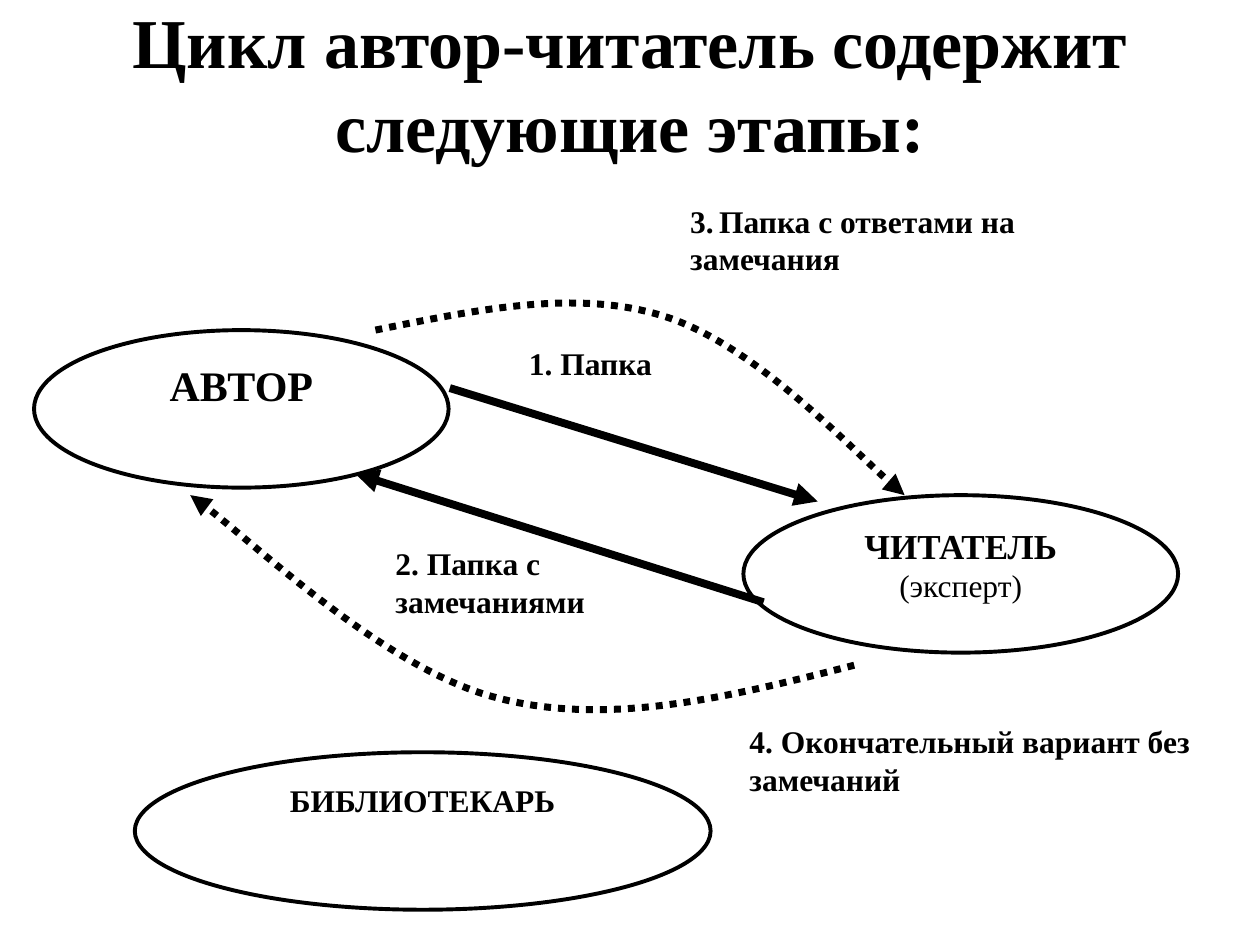
import lxml.etree
import pptx
import pptx.dml.color
import pptx.enum.dml
import pptx.enum.shapes
import pptx.enum.text
import pptx.oxml
import pptx.oxml.ns
import pptx.util

Inches = pptx.util.Inches
BLACK = pptx.dml.color.RGBColor(0, 0, 0)
WHITE = pptx.dml.color.RGBColor(255, 255, 255)
FONT = "Times New Roman"
CENTER = pptx.enum.text.PP_ALIGN.CENTER
LEFT = pptx.enum.text.PP_ALIGN.LEFT


def add_run(paragraph, text, size=18, bold=True):
    run = paragraph.add_run()
    run.text = text
    run.font.name = FONT
    run.font.size = pptx.util.Pt(size)
    run.font.bold = bold
    run.font.color.rgb = BLACK


def write_paragraph(paragraph, *runs, alignment=LEFT):
    paragraph.alignment = alignment
    for text, run_format in runs:
        add_run(paragraph, text, **run_format)


def add_title(slide, text):
    title = slide.shapes.title
    title.left, title.top = Inches(0.5), Inches(0)
    title.width, title.height = Inches(9), Inches(1.31)
    frame = title.text_frame
    frame.auto_size = pptx.enum.text.MSO_AUTO_SIZE.NONE
    frame.vertical_anchor = pptx.enum.text.MSO_ANCHOR.MIDDLE
    write_paragraph(frame.paragraphs[0], (text, {"size": 40}), alignment=CENTER)


def add_role(slide, left, top, width, name, size, note=None):
    ellipse = slide.shapes.add_shape(
        pptx.enum.shapes.MSO_SHAPE.OVAL,
        Inches(left), Inches(top), Inches(width), Inches(1.25))
    ellipse.shadow.inherit = False
    ellipse.fill.solid()
    ellipse.fill.fore_color.rgb = WHITE
    ellipse.line.color.rgb = BLACK
    ellipse.line.width = pptx.util.Pt(2.25)
    frame = ellipse.text_frame
    frame.vertical_anchor = pptx.enum.text.MSO_ANCHOR.TOP
    write_paragraph(frame.paragraphs[0], (name, {"size": size}), alignment=CENTER)
    if note:
        write_paragraph(frame.add_paragraph(), (note, {"bold": False}),
                        alignment=CENTER)


def add_label(slide, left, top, width, height, *runs):
    box = slide.shapes.add_textbox(
        Inches(left), Inches(top), Inches(width), Inches(height))
    box.text_frame.word_wrap = True
    write_paragraph(box.text_frame.paragraphs[0], *runs)


def format_arrow(line, width, dash=None):
    line.color.rgb = BLACK
    line.width = pptx.util.Pt(width)
    if dash is not None:
        line.dash_style = dash
    outline = line.fill._xPr
    lxml.etree.SubElement(outline, pptx.oxml.ns.qn("a:tailEnd"), type="triangle")


def add_straight_arrow(slide, start, end):
    arrow = slide.shapes.add_connector(
        pptx.enum.shapes.MSO_CONNECTOR.STRAIGHT, *map(Inches, start + end))
    format_arrow(arrow.line, 4.5)
    lxml.etree.SubElement(arrow._element.spPr, pptx.oxml.ns.qn("a:effectLst"))


def add_curved_arrow(slide, start, *points):
    builder = slide.shapes.build_freeform(*map(Inches, start))
    builder.add_line_segments([tuple(map(Inches, point)) for point in points],
                              close=False)
    arrow = builder.convert_to_shape()
    arrow.shadow.inherit = False
    arrow.fill.background()
    format_arrow(arrow.line, 4, pptx.enum.dml.MSO_LINE.ROUND_DOT)
    segments = arrow._element.xpath(".//a:lnTo")
    for first in range(0, len(segments), 3):
        curve = pptx.oxml.parse_xml(
            f"<a:cubicBezTo {pptx.oxml.ns.nsdecls('a')}/>")
        segments[first].addprevious(curve)
        for segment in segments[first:first + 3]:
            curve.append(segment[0])
            segment.getparent().remove(segment)


def main():
    presentation = pptx.Presentation()
    presentation.slide_width = Inches(10)
    presentation.slide_height = Inches(7.5)
    slide = presentation.slides.add_slide(presentation.slide_layouts[5])

    add_title(slide, "Цикл автор-читатель содержит следующие этапы:")

    add_role(slide, 0.27, 2.62, 3.29, "АВТОР", 24)
    add_role(slide, 5.9, 3.93, 3.45, "ЧИТАТЕЛЬ", 20, note="(эксперт)")
    add_role(slide, 1.07, 5.97, 4.57, "БИБЛИОТЕКАРЬ", 18)

    add_straight_arrow(slide, (3.57, 3.08), (6.49, 3.98))
    add_straight_arrow(slide, (6.06, 4.78), (2.82, 3.76))
    add_curved_arrow(slide, (2.98, 2.62),
                     (3.78, 2.46), (4.57, 2.29), (5.27, 2.51),
                     (5.97, 2.73), (6.89, 3.7), (7.18, 3.93))
    add_curved_arrow(slide, (6.78, 5.28),
                     (5.8, 5.53), (4.83, 5.77), (3.95, 5.54),
                     (3.08, 5.32), (1.88, 4.18), (1.51, 3.93))

    add_label(slide, 5.38, 1.55, 3.87, 1.02, ("3.", {}), (" ", {"size": 12}),
              ("Папка с ответами на замечания", {}))
    add_label(slide, 4.1, 2.68, 2.07, 0.68, ("1. Папка", {}))
    add_label(slide, 3.04, 4.27, 2.5, 1.02, ("2. Папка с замечаниями", {}))
    add_label(slide, 5.85, 5.68, 3.87, 1.02,
              ("4. Окончательный вариант без замечаний", {}))

    presentation.save("out.pptx")


if __name__ == "__main__":
    main()
